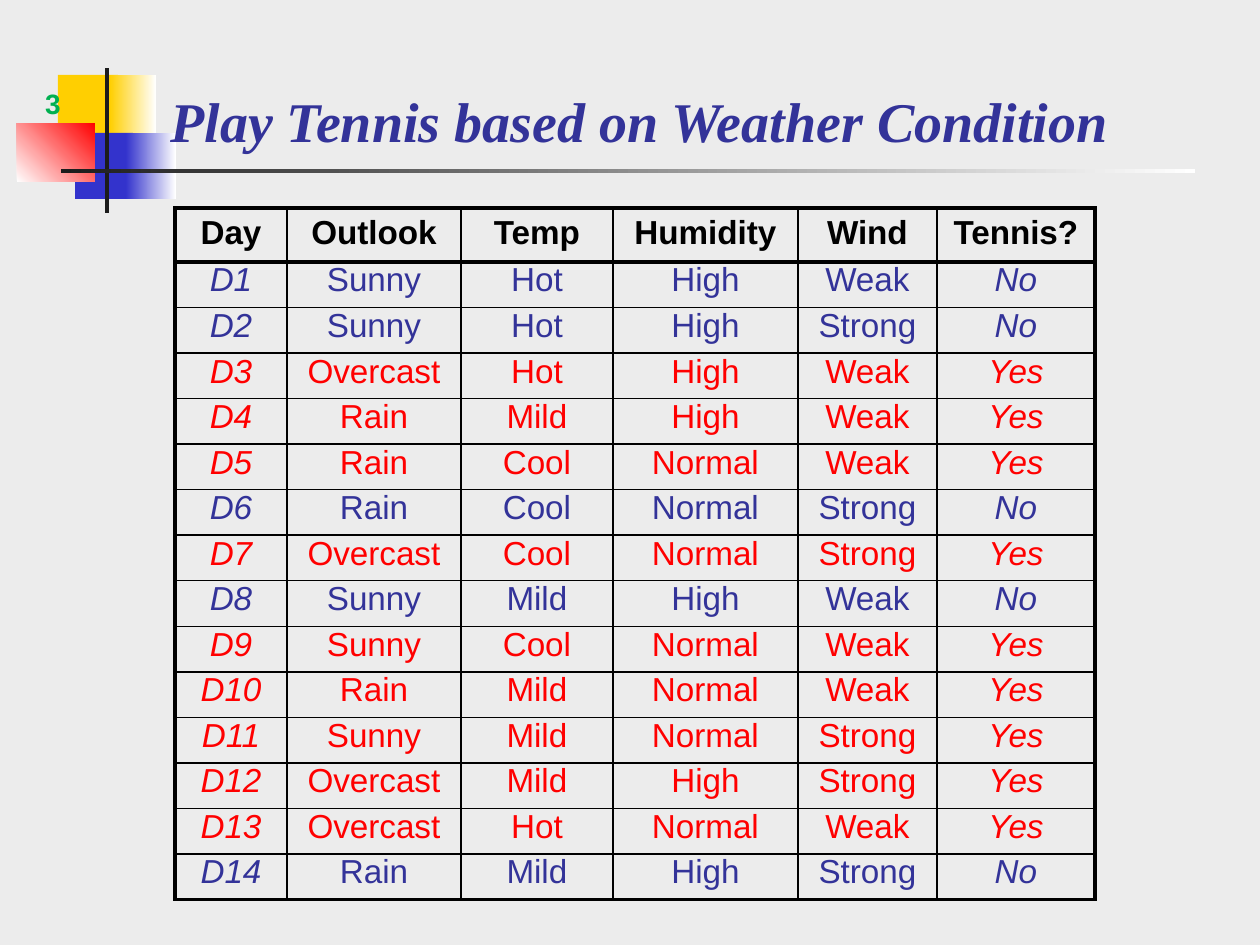
from lxml.etree import SubElement
from pptx import Presentation
from pptx.dml.color import RGBColor
from pptx.enum.shapes import MSO_SHAPE
from pptx.enum.text import MSO_ANCHOR, PP_ALIGN
from pptx.oxml.ns import qn
from pptx.util import Emu, Pt

SCALE = 914400 / 126  # EMU per px


def px(*values):
    return [Emu(round(v * SCALE)) for v in values]


def add_run(p, text, size, font, color, bold=False, italic=False):
    r = p.add_run()
    r.text = text
    r.font.size, r.font.name = Pt(size), font
    r.font.bold, r.font.italic = bold, italic
    r.font.color.rgb = RGBColor.from_string(color)


prs = Presentation()
prs.slide_width, prs.slide_height = px(1260, 945)
s = prs.slides.add_slide(prs.slide_layouts[6])
s.background.fill.solid()
s.background.fill.fore_color.rgb = RGBColor.from_string("ECECEC")

# Corner blocks and rules: box, colours (two make a gradient), angle
decorations = [
    ((58, 75, 60, 66), ["FFCF01"], 0),
    ((110, 75, 46, 66), ["FFCF01", "FFFFFF"], 0),
    ((75, 133, 58, 66), ["3333CC"], 0),
    ((126, 133, 50, 66), ["3333CC", "FFFFFF"], 0),
    ((17, 123, 78, 59), ["FFFFFF", "FF0000"], 45),
    ((105, 68, 4, 145), ["1C1C1C"], 0),
    ((61, 169, 1134, 4), ["1C1C1C", "FFFFFF"], 0),
]
for box, colors, angle in decorations:
    sp = s.shapes.add_shape(MSO_SHAPE.RECTANGLE, *px(*box))
    sp.shadow.inherit = False
    sp.line.fill.background()
    if len(colors) == 1:
        sp.fill.solid()
        sp.fill.fore_color.rgb = RGBColor.from_string(colors[0])
    else:
        sp.fill.gradient()
        sp.fill.gradient_angle = angle
        for stop, color in zip(sp.fill.gradient_stops, colors):
            stop.color.rgb = RGBColor.from_string(color)

# Title and slide number
texts = [
    ((158, 49, 1074, 111), PP_ALIGN.LEFT,
     ("Play Tennis based on Weather Condition", 32, "Times New Roman", "333399", True, True)),
    ((0, 84, 73, 42), PP_ALIGN.RIGHT, ("3", 16, "Arial", "00B050", True)),
]
for box, align, run in texts:
    tf = s.shapes.add_textbox(*px(*box)).text_frame
    tf.word_wrap = True
    tf.vertical_anchor = MSO_ANCHOR.BOTTOM
    tf.paragraphs[0].alignment = align
    add_run(tf.paragraphs[0], *run)

# Weather table
rows = [line.split() for line in """\
Day Outlook Temp Humidity Wind Tennis?
D1 Sunny Hot High Weak No
D2 Sunny Hot High Strong No
D3 Overcast Hot High Weak Yes
D4 Rain Mild High Weak Yes
D5 Rain Cool Normal Weak Yes
D6 Rain Cool Normal Strong No
D7 Overcast Cool Normal Strong Yes
D8 Sunny Mild High Weak No
D9 Sunny Cool Normal Weak Yes
D10 Rain Mild Normal Weak Yes
D11 Sunny Mild Normal Strong Yes
D12 Overcast Mild High Strong Yes
D13 Overcast Hot Normal Weak Yes
D14 Rain Mild High Strong No""".splitlines()]
col_widths = [112, 174, 152, 185, 139, 158]
last_row, last_col = len(rows) - 1, len(col_widths) - 1
row_heights = [54] + [638 / last_row] * last_row

table = s.shapes.add_table(len(rows), len(col_widths),
                           *px(175, 208, sum(col_widths), sum(row_heights))).table
table.first_row = table.horz_banding = False
for col, width in zip(table.columns, px(*col_widths)):
    col.width = width
for row, height in zip(table.rows, px(*row_heights)):
    row.height = height

for i, values in enumerate(rows):
    for j, value in enumerate(values):
        cell = table.cell(i, j)
        p = cell.text_frame.paragraphs[0]
        p.alignment = PP_ALIGN.CENTER
        if i == 0:
            add_run(p, value, 19, "Arial", "000000", bold=True)
        else:
            p.line_spacing = 0.8
            color = "FF0000" if values[-1] == "Yes" else "333399"
            add_run(p, value, 19, "Arial", color, italic=j in (0, last_col))

        # Heavy lines around the table and under the header
        heavy = {"a:lnL": j == 0, "a:lnR": j == last_col,
                 "a:lnT": i <= 1, "a:lnB": i in (0, last_row)}
        tcPr = cell._tc.get_or_add_tcPr()
        for tag, is_heavy in heavy.items():
            ln = SubElement(tcPr, qn(tag), w=str(Pt(2.25 if is_heavy else 1)))
            SubElement(SubElement(ln, qn("a:solidFill")), qn("a:srgbClr"), val="000000")
        cell.fill.background()

prs.save("out.pptx")
